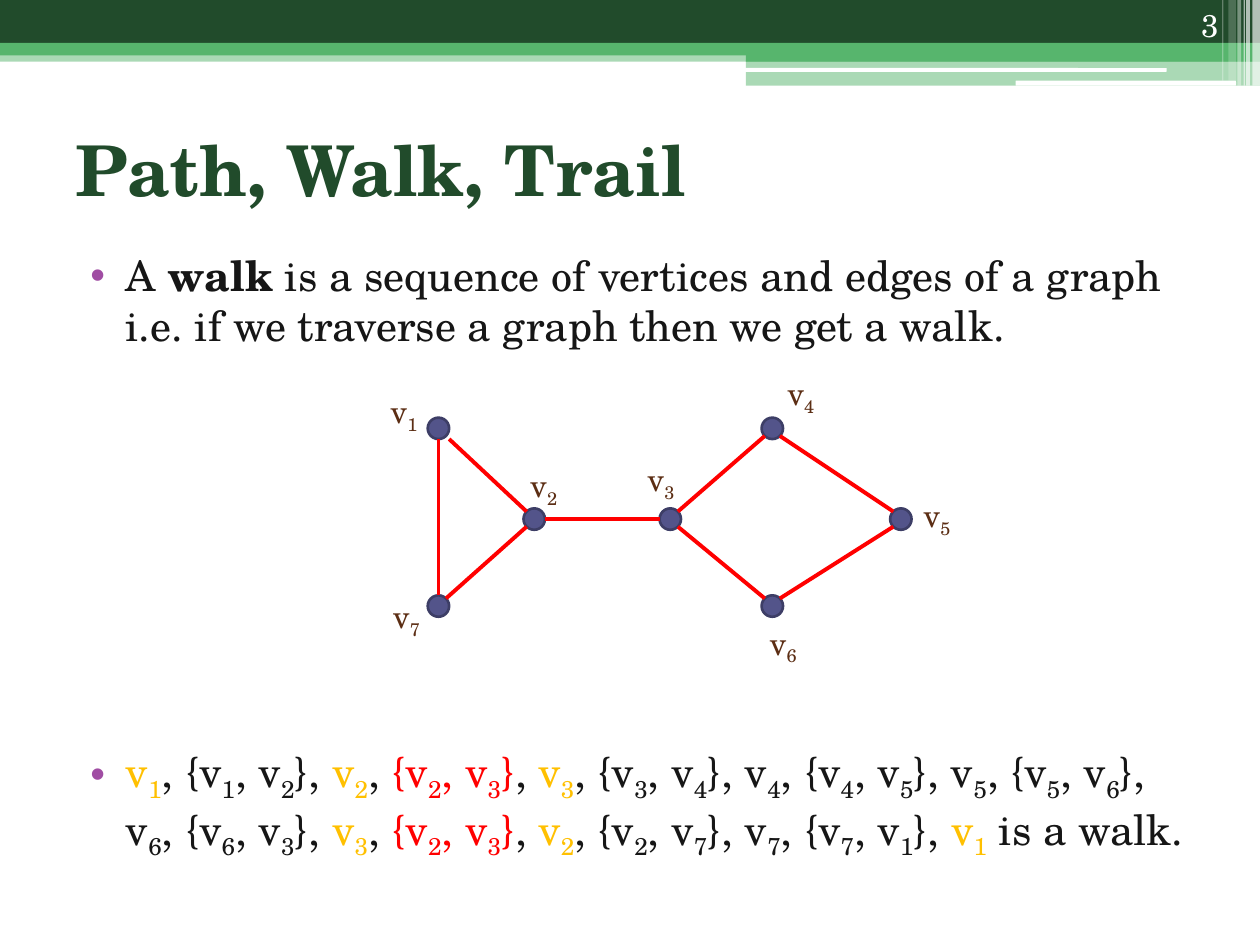
"""Builds a slide on walks in a graph, with a drawn graph and a worked example."""
from math import hypot
from lxml import etree
from pptx import Presentation
from pptx.dml.color import RGBColor
from pptx.enum.shapes import MSO_CONNECTOR, MSO_SHAPE
from pptx.enum.text import MSO_ANCHOR, PP_ALIGN
from pptx.oxml.ns import qn
from pptx.util import Inches, Pt

RECT, ROUND, OVAL = MSO_SHAPE.RECTANGLE, MSO_SHAPE.ROUNDED_RECTANGLE, MSO_SHAPE.OVAL
STRAIGHT = MSO_CONNECTOR.STRAIGHT
TOP, MIDDLE, BOTTOM = MSO_ANCHOR.TOP, MSO_ANCHOR.MIDDLE, MSO_ANCHOR.BOTTOM
LEFT, RIGHT = PP_ALIGN.LEFT, PP_ALIGN.RIGHT

FONT = "TeX Gyre Schola"
WHITE = RGBColor(0xFF, 0xFF, 0xFF)
DARK_GREEN = RGBColor(0x21, 0x4B, 0x2B)
GREEN = RGBColor(0x57, 0xB5, 0x6D)
INK = RGBColor(0x16, 0x16, 0x16)
YELLOW = RGBColor(0xFF, 0xC0, 0x00)
RED = RGBColor(0xFF, 0x00, 0x00)
BROWN = RGBColor(0x5C, 0x2E, 0x14)
NODE_FILL = RGBColor(0x53, 0x54, 0x8A)
NODE_LINE = RGBColor(0x3D, 0x3E, 0x66)
BULLET = "A04DA3"

BANDS = [
    (RECT, 0, 0.4, 10, 0.09, GREEN, 50),
    (RECT, 0, 0, 10, 0.34, DARK_GREEN, 100),
    (RECT, 0, 0.34, 10, 0.1, GREEN, 100),
    (RECT, 5.92, 0.39, 4.08, 0.1, GREEN, 100),
    (RECT, 5.92, 0.48, 4.08, 0.2, GREEN, 50),
    (ROUND, 5.91, 0.54, 3.35, 0.03, WHITE, 100),
    (ROUND, 8.06, 0.64, 1.75, 0.04, WHITE, 100),
]
STRIPES = [
    (9.94, 0.06, 0.68, 65),
    (9.89, 0.03, 0.68, 65),
    (9.87, 0.01, 0.68, 60),
    (9.82, 0.03, 0.68, 40),
    (9.75, 0.06, 0.64, 20),
    (9.7, 0.01, 0.64, 30),
]

RADIUS = 0.085
VERTICES = {
    1: (3.48, 3.4), 2: (4.24, 4.12), 3: (5.32, 4.12), 4: (6.13, 3.4),
    5: (7.15, 4.12), 6: (6.13, 4.81), 7: (3.48, 4.81),
}
EDGES = [(1, 2, 0.12), (7, 2, RADIUS), (1, 7, RADIUS), (2, 3, RADIUS),
         (3, 4, RADIUS), (4, 5, RADIUS), (6, 5, RADIUS), (3, 6, RADIUS)]
LABELS = {
    1: (3, 3.06), 2: (4.11, 3.65), 3: (5.04, 3.6), 4: (6.15, 2.92),
    5: (7.23, 3.89), 6: (6.01, 4.9), 7: (3.02, 4.69),
}
WALK = [
    ("v1", YELLOW), (", {v1, v2}, ", INK), ("v2", YELLOW), (", ", INK),
    ("{v2, v3}", RED), (", ", INK), ("v3", YELLOW),
    (", {v3, v4}, v4, {v4, v5}, v5, {v5, v6}, v6, {v6, v3}, ", INK),
    ("v3", YELLOW), (", ", INK), ("{v2, v3}", RED), (", ", INK), ("v2", YELLOW),
    (", {v2, v7}, v7, {v7, v1}, ", INK), ("v1", YELLOW), (" is a walk.", INK),
]


def add_shape(slide, kind, x, y, w, h, color, opacity=100):
    s = slide.shapes.add_shape(kind, Inches(x), Inches(y), Inches(w), Inches(h))
    s.shadow.inherit = False
    s.fill.solid()
    s.fill.fore_color.rgb = color
    s.line.fill.background()
    if opacity < 100:
        clr = s.fill._xPr.find(qn("a:solidFill"))[0]
        etree.SubElement(clr, qn("a:alpha"), val=str(opacity * 1000))
    return s


def add_text(slide, x, y, w, h, size, color, anchor=TOP, align=LEFT):
    tf = slide.shapes.add_textbox(Inches(x), Inches(y), Inches(w), Inches(h)).text_frame
    tf.word_wrap = True
    tf.vertical_anchor = anchor
    p = tf.paragraphs[0]
    p.alignment = align
    p.font.name, p.font.size = FONT, Pt(size)
    p.font.color.rgb = color
    return p


def add_run(p, text, color=None, bold=None, subscript=False):
    r = p.add_run()
    r.text = text
    r.font.bold = bold
    if color is not None:
        r.font.color.rgb = color
    if subscript:
        r.font._element.set("baseline", "-25000")


def add_indexed(p, text, color=None):
    """Writes text with the digit after each v as a subscript."""
    head, *tails = text.split("v")
    for tail in tails:
        add_run(p, head + "v", color)
        add_run(p, tail[0], color, subscript=True)
        head = tail[1:]
    if head:
        add_run(p, head, color)


def add_bullet(slide, y, h):
    p = add_text(slide, 0.5, y, 9, h, 24, INK)
    p.space_before = Pt(3)
    pPr = p._p.get_or_add_pPr()
    pPr.set("marL", str(Inches(0.4)))
    pPr.set("indent", str(Inches(-0.28)))
    mark = etree.Element(qn("a:buClr"))
    etree.SubElement(mark, qn("a:srgbClr"), val=BULLET)
    face = etree.Element(qn("a:buFont"), typeface="Arial")
    char = etree.Element(qn("a:buChar"), char="•")
    for el in (mark, face, char):
        pPr.find(qn("a:defRPr")).addprevious(el)
    return p


def toward(start, end, reach):
    """Returns the point at reach from start, in the nearest of eight directions."""
    dx, dy = [(b > a) - (b < a) for a, b in zip(start, end)]
    scale = reach / hypot(dx, dy)
    return Inches(start[0] + dx * scale), Inches(start[1] + dy * scale)


def add_edge(slide, a, b, reach):
    start, end = VERTICES[a], VERTICES[b]
    s = slide.shapes.add_connector(
        STRAIGHT, *toward(start, end, reach), *toward(end, start, RADIUS))
    s.line.color.rgb, s.line.width = RED, Pt(2.25)
    etree.SubElement(s._element.spPr, qn("a:effectLst"))


def add_vertex(slide, x, y):
    s = add_shape(slide, OVAL, x - RADIUS, y - RADIUS, 2 * RADIUS, 2 * RADIUS, NODE_FILL)
    s.line.color.rgb, s.line.width = NODE_LINE, Pt(1.5)


def add_header(slide):
    for band in BANDS:
        add_shape(slide, *band)
    for x, w, h, opacity in STRIPES:
        add_shape(slide, RECT, x, 0, w, h, WHITE, opacity)
    add_run(add_text(slide, 8.94, 0, 0.83, 0.4, 18, WHITE, BOTTOM, RIGHT), "3")
    p = add_text(slide, 0.5, 0.75, 9, 1.17, 40, DARK_GREEN, MIDDLE)
    add_run(p, "Path, Walk, Trail", bold=True)


def add_graph(slide):
    for x, y in VERTICES.values():
        add_vertex(slide, x, y)
    for edge in EDGES:
        add_edge(slide, *edge)
    for n, (x, y) in LABELS.items():
        add_indexed(add_text(slide, x, y, 0.45, 0.4, 18, BROWN), f"v{n}")


def main():
    prs = Presentation()
    prs.slide_width, prs.slide_height = Inches(10), Inches(7.5)
    slide = prs.slides.add_slide(prs.slide_layouts[6])
    add_header(slide)
    p = add_bullet(slide, 1.93, 0.95)
    add_run(p, "A ")
    add_run(p, "walk", bold=True)
    add_run(p, " is a sequence of vertices and edges of a graph "
               "i.e. if we traverse a graph then we get a walk.")
    p = add_bullet(slide, 5.87, 1)
    for text, color in WALK:
        add_indexed(p, text, color)
    add_graph(slide)
    prs.save("out.pptx")


if __name__ == "__main__":
    main()
